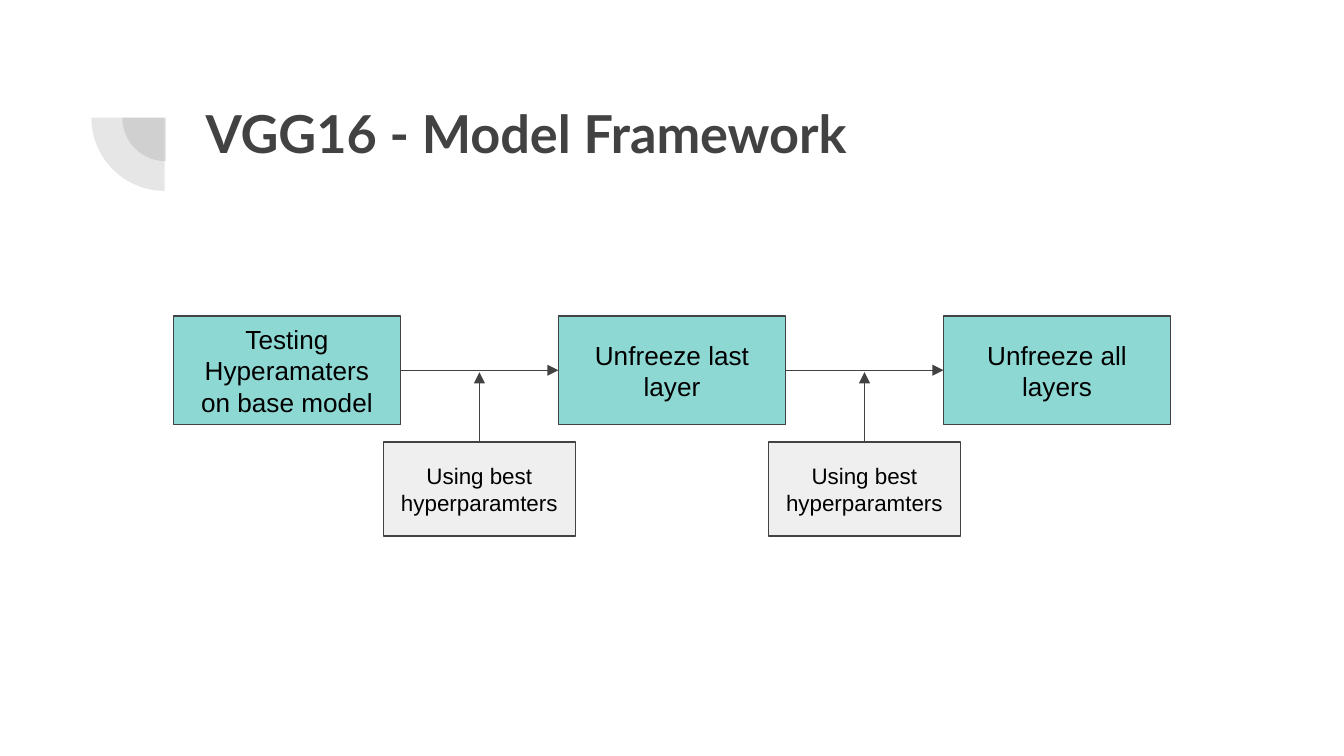
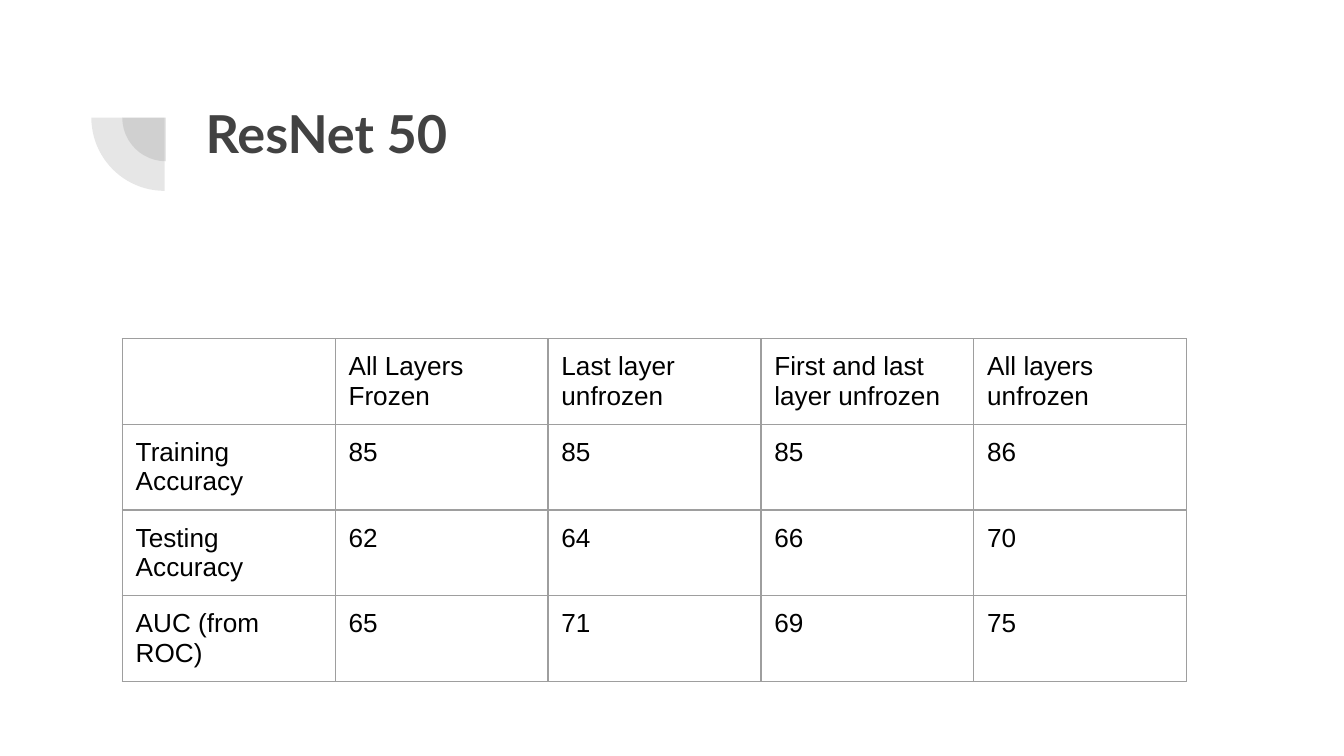
"""Build two slides on model training: a flow of steps and a table of results."""
from lxml import etree
from pptx import Presentation
from pptx.dml.color import RGBColor
from pptx.enum.shapes import MSO_CONNECTOR, MSO_SHAPE
from pptx.enum.text import MSO_ANCHOR, MSO_AUTO_SIZE, PP_ALIGN
from pptx.oxml.ns import qn
from pptx.util import Inches, Pt

STRAIGHT = MSO_CONNECTOR.STRAIGHT
RECTANGLE, PIE = MSO_SHAPE.RECTANGLE, MSO_SHAPE.PIE
TOP, MIDDLE = MSO_ANCHOR.TOP, MSO_ANCHOR.MIDDLE
LEFT, CENTER = PP_ALIGN.LEFT, PP_ALIGN.CENTER
NO_FIT = MSO_AUTO_SIZE.NONE

DARK = RGBColor(0x42, 0x42, 0x42)
TEAL = RGBColor(0x8D, 0xD8, 0xD3)
PALE = RGBColor(0xEF, 0xEF, 0xEF)
BLACK = RGBColor(0, 0, 0)
GRID = RGBColor(0x9E, 0x9E, 0x9E)
TITLE_FONT, BODY_FONT = "Lato", "Arial"
LINE_WIDTH = Pt(0.75)
INSET = Inches(0.1)
TITLE_ONLY = 5
PAGE_WIDTH = 10
PAGE_HEIGHT = PAGE_WIDTH * 9 / 16

FLOW_TITLE = "VGG16 - Model Framework"
STEPS = ["Testing Hyperamaters on base model", "Unfreeze last layer", "Unfreeze all layers"]
NOTE = "Using best hyperparamters"

RESULTS_TITLE = "ResNet 50"
RESULTS = [
    ("", "All Layers Frozen", "Last layer unfrozen", "First and last layer unfrozen",
     "All layers unfrozen"),
    ("Training Accuracy", "85", "85", "85", "86"),
    ("Testing Accuracy", "62", "64", "66", "70"),
    ("AUC (from ROC)", "65", "71", "69", "75"),
]

PIES = [(0.91, 0.55, 0.65), (0.68, 0.33, 1.09)]
STEP_LEFT, STEP_TOP, STEP_WIDTH, STEP_HEIGHT = 1.29, 2.35, 1.69, 0.81
STEP_PITCH = (7.02 - STEP_LEFT) / 2
STEP_GAP = STEP_PITCH - STEP_WIDTH
NOTE_TOP, NOTE_WIDTH, NOTE_HEIGHT = 3.29, 1.43, 0.7
NOTE_ARROW_END = 2.77
TABLE_LEFT, TABLE_TOP, TABLE_WIDTH, ROW_HEIGHT = 0.91, 2.52, 7.92, 0.42


def set_insets(holder):
    holder.margin_left = holder.margin_right = INSET
    holder.margin_top = holder.margin_bottom = INSET


def write(frame, text, size, font=BODY_FONT, color=BLACK, bold=False, align=LEFT):
    para = frame.paragraphs[0]
    para.alignment = align
    span = para.add_run()
    span.text = text
    span.font.name = font
    span.font.size = Pt(size)
    span.font.bold = bold
    span.font.color.rgb = color


def add_pie(page, left, top, size):
    pie = page.shapes.add_shape(PIE, Inches(left), Inches(top), Inches(size), Inches(size))
    pie.adjustments[0], pie.adjustments[1] = 108, 162
    pie.rotation = 270
    pie.shadow.inherit = False
    pie.line.fill.background()
    pie.fill.solid()
    pie.fill.fore_color.rgb = DARK
    color = pie.fill._xPr.find(qn("a:solidFill"))[0]
    etree.SubElement(color, qn("a:alpha"), val="13000")


def add_page(deck, title):
    page = deck.slides.add_slide(deck.slide_layouts[TITLE_ONLY])
    for pie in PIES:
        add_pie(page, *pie)
    box = page.shapes.title
    box.left, box.top, box.width, box.height = (Inches(n) for n in (1.43, 0.65, 7.69, 1.09))
    frame = box.text_frame
    frame.auto_size = NO_FIT
    frame.word_wrap = True
    frame.vertical_anchor = TOP
    set_insets(frame)
    write(frame, title, 28, TITLE_FONT, DARK, bold=True)
    return page


def add_box(page, text, left, top, width, height, fill, size):
    box = page.shapes.add_shape(RECTANGLE, Inches(left), Inches(top), Inches(width), Inches(height))
    box.shadow.inherit = False
    box.fill.solid()
    box.fill.fore_color.rgb = fill
    box.line.color.rgb = DARK
    box.line.width = LINE_WIDTH
    frame = box.text_frame
    frame.word_wrap = True
    frame.vertical_anchor = MIDDLE
    set_insets(frame)
    write(frame, text, size, align=CENTER)
    return box


def add_arrow(page, start, side, end_x, end_y):
    arrow = page.shapes.add_connector(STRAIGHT, start.left, start.top, end_x, end_y)
    arrow.begin_connect(start, side)
    arrow.line.color.rgb = DARK
    arrow.line.width = LINE_WIDTH
    etree.SubElement(arrow.line._get_or_add_ln(), qn("a:tailEnd"), type="triangle")
    etree.SubElement(arrow._element.spPr, qn("a:effectLst"))
    return arrow


def add_flow(page):
    lefts = [STEP_LEFT + i * STEP_PITCH for i in range(len(STEPS))]
    steps = [
        add_box(page, text, left, STEP_TOP, STEP_WIDTH, STEP_HEIGHT, TEAL, 14)
        for text, left in zip(STEPS, lefts)
    ]
    for left, step, following in zip(lefts, steps, steps[1:]):
        arrow = add_arrow(page, step, 3, following.left, following.top)
        arrow.end_connect(following, 1)
        middle = left + STEP_WIDTH + STEP_GAP / 2
        note = add_box(page, NOTE, middle - NOTE_WIDTH / 2, NOTE_TOP, NOTE_WIDTH, NOTE_HEIGHT,
                       PALE, 12)
        add_arrow(page, note, 0, Inches(middle), Inches(NOTE_ARROW_END))


def add_borders(cell):
    properties = cell._tc.get_or_add_tcPr()
    for side in ("lnL", "lnR", "lnT", "lnB"):
        line = etree.SubElement(properties, qn(f"a:{side}"), w=str(int(LINE_WIDTH)))
        fill = etree.SubElement(line, qn("a:solidFill"))
        etree.SubElement(fill, qn("a:srgbClr"), val=str(GRID))


def add_results(page):
    rows, columns = len(RESULTS), len(RESULTS[0])
    table = page.shapes.add_table(
        rows, columns, Inches(TABLE_LEFT), Inches(TABLE_TOP),
        Inches(TABLE_WIDTH), Inches(ROW_HEIGHT * rows)).table
    table.first_row = table.horz_banding = False
    for row, texts in zip(table.rows, RESULTS):
        for cell, text in zip(row.cells, texts):
            set_insets(cell)
            add_borders(cell)
            cell.fill.background()
            if text:
                write(cell.text_frame, text, 14)


def main():
    deck = Presentation()
    deck.slide_width, deck.slide_height = Inches(PAGE_WIDTH), Inches(PAGE_HEIGHT)
    add_flow(add_page(deck, FLOW_TITLE))
    add_results(add_page(deck, RESULTS_TITLE))
    deck.save("out.pptx")


if __name__ == "__main__":
    main()
